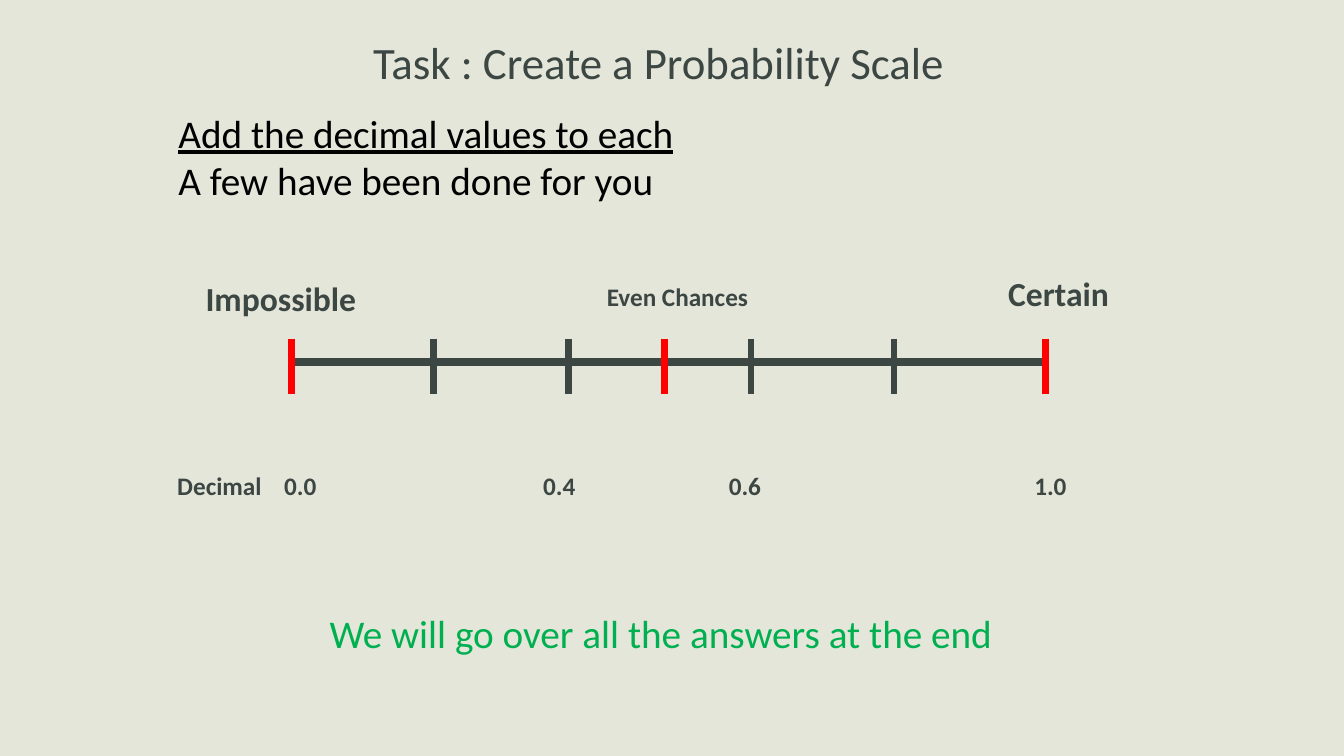
from dataclasses import dataclass

from lxml import etree
from pptx import Presentation, util as u
from pptx.dml.color import RGBColor
from pptx.enum import shapes, text
from pptx.oxml import ns


@dataclass(frozen=True)
class Theme:
    """Colours, font and type sizes of the slide."""
    background: str = "E5E6DA"
    slate: str = "3C4743"
    black: str = "000000"
    red: str = "FF0000"
    green: str = "00B050"
    font: str = "Calibri"
    title: int = 32
    body: int = 28
    endpoint: int = 24
    label: int = 18
    axis: float = 6
    tick: float = 4.5


THEME = Theme()
COLUMNS, ROWS = 133.3, 75
CELL = u.Inches(0.1)


def cells(*lengths):
    """Turn grid columns or rows into slide lengths."""
    return [round(length * CELL) for length in lengths]


def set_attributes(target, values):
    """Set every attribute named in a dict of format values."""
    for name, value in values.items():
        setattr(target, name, value)


def add_run(paragraph, words, size, color, **style):
    """Add one formatted run to a paragraph."""
    run = paragraph.add_run()
    run.text = words
    set_attributes(run.font, {"name": THEME.font, "size": u.Pt(size), **style})
    run.font.color.rgb = RGBColor.from_string(color)


def prepare_shape(shape, box):
    """Place a text shape on the grid and return its text frame."""
    set_attributes(shape, dict(zip(("left", "top", "width", "height"), cells(*box))))
    frame = shape.text_frame
    set_attributes(frame, {"word_wrap": True, "auto_size": text.MSO_AUTO_SIZE.NONE,
                           "vertical_anchor": text.MSO_ANCHOR.TOP})
    return frame


def add_text(slide, box, words, size, color, **style):
    """Add a text box with one line and return its paragraph."""
    frame = prepare_shape(slide.shapes.add_textbox(*cells(*box)), box)
    add_run(frame.paragraphs[0], words, size, color, **style)
    return frame.paragraphs[0]


def add_title(slide, box, words):
    """Fill the title placeholder."""
    paragraph = prepare_shape(slide.shapes.title, box).paragraphs[0]
    paragraph.alignment = text.PP_ALIGN.LEFT
    add_run(paragraph, words, THEME.title, THEME.slate)


def add_instructions(slide, box, lines):
    """Fill the body placeholder with unbulleted lines, the first underlined."""
    frame = prepare_shape(slide.placeholders[1], box)
    for index, words in enumerate(lines):
        paragraph = frame.paragraphs[0] if index == 0 else frame.add_paragraph()
        properties = paragraph._p.get_or_add_pPr()
        properties.set("marL", "0")
        properties.set("indent", "0")
        etree.SubElement(properties, ns.qn("a:buNone"))
        paragraph.space_before = u.Pt(0)
        add_run(paragraph, words, THEME.body, THEME.black, underline=index == 0)


def add_line(slide, start, end, color, width):
    """Draw a straight line between two grid points."""
    line = slide.shapes.add_connector(shapes.MSO_CONNECTOR.STRAIGHT, *cells(*start, *end))
    line.line.color.rgb = RGBColor.from_string(color)
    line.line.width = u.Pt(width)
    etree.SubElement(line._element.spPr, ns.qn("a:effectLst"))


def add_scale(slide, box, ticks, labels):
    """Draw the axis with its ticks and the labels above it."""
    left, top, width, height = box
    axis = top + 2.3
    add_line(slide, (left, axis), (left + width, axis), THEME.slate, THEME.axis)
    for color, offsets in ticks.items():
        for offset in offsets:
            add_line(slide, (left + offset, top), (left + offset, top + height),
                     color, THEME.tick)
    for words, offset, rise, label_width, size in labels:
        add_text(slide, (left + offset, top - rise, label_width, 5), words, size,
                 THEME.slate, bold=True)


def add_decimals(slide, box, values):
    """Write the decimal row, each value at its own tab stop."""
    paragraph = add_text(slide, box, "\t".join(["Decimal", *values]), THEME.label,
                         THEME.slate, bold=True)
    stops = etree.SubElement(paragraph._p.get_or_add_pPr(), ns.qn("a:tabLst"))
    for position in cells(*values.values()):
        etree.SubElement(stops, ns.qn("a:tab"), pos=str(position), algn="l")


def build_task_slide(presentation):
    """Build the probability scale task."""
    slide = presentation.slides.add_slide(presentation.slide_layouts[1])
    slide.background.fill.solid()
    slide.background.fill.fore_color.rgb = RGBColor.from_string(THEME.background)
    add_title(slide, (36, 2.9, 80.3, 6.4), "Task : Create a Probability Scale")
    add_instructions(slide, (16.7, 10.3, 54.8, 10.4),
                     ["Add the decimal values to each", "A few have been done for you"])
    add_scale(slide, (28.9, 33.6, 74.8, 5.5),
              {THEME.red: (0, 37, 74.8), THEME.slate: (14.1, 27.5, 45.6, 59.8)},
              [("Impossible", -9.5, 6.5, 18.9, THEME.endpoint),
               ("Even Chances", 30.3, 6.2, 18.9, THEME.label),
               ("Certain", 70.1, 7, 17.3, THEME.endpoint)])
    add_decimals(slide, (16.6, 46.2, 92.6, 4),
                 {"0.0": 10.6, "0.4": 36.3, "0.6": 54.7, "1.0": 85})
    add_text(slide, (31.7, 60, 89, 5.7), "We will go over all the answers at the end",
             THEME.body, THEME.green)


def main():
    """Create and save the presentation."""
    presentation = Presentation()
    presentation.slide_width, presentation.slide_height = cells(COLUMNS, ROWS)
    build_task_slide(presentation)
    presentation.save("out.pptx")


if __name__ == "__main__":
    main()
